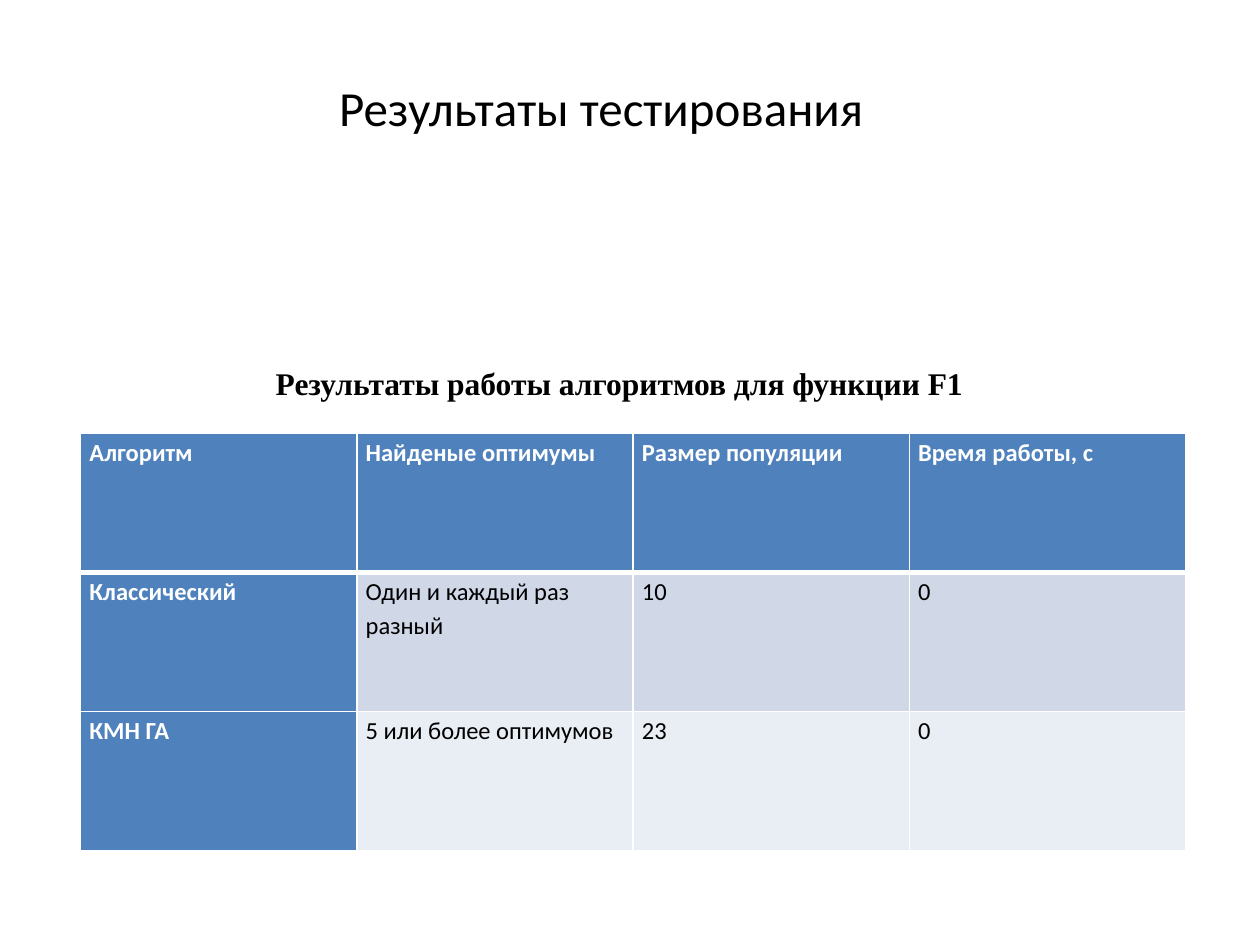
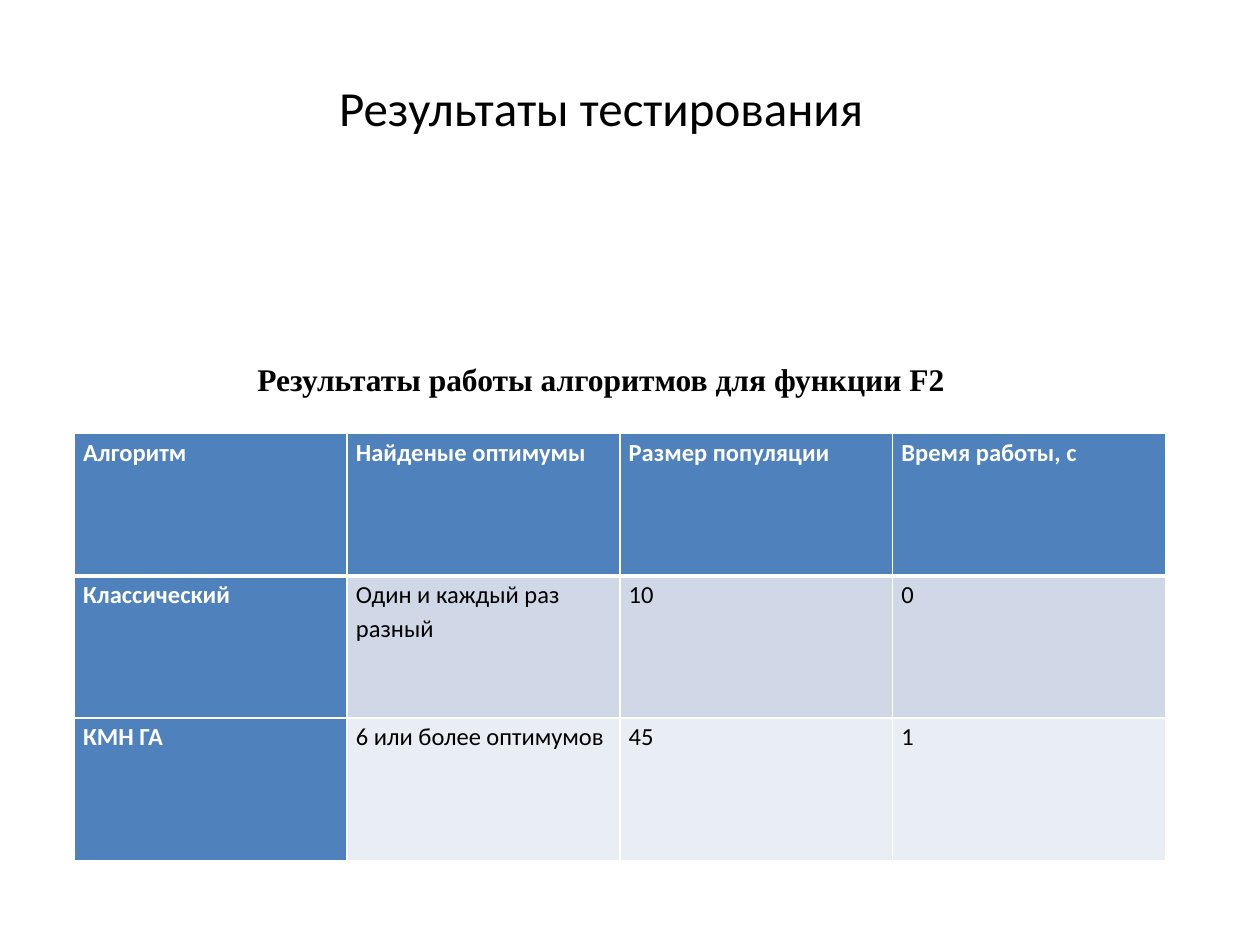
import pptx
import pptx.dml.color
import pptx.enum.text
import pptx.oxml.ns
import pptx.util
from lxml import etree
from pptx.util import Inches

COLORS = {
    "text": "000000",
    "white": "FFFFFF",
    "header": "4F81BD",
    "band_dark": "D0D8E8",
    "band_light": "E9EDF4",
}
BODY_FONT = "Calibri"
CAPTION_FONT = "Times New Roman"
HEADINGS = ["Алгоритм", "Найденые оптимумы", "Размер популяции", "Время работы, с"]
CLASSIC_ROW = ["Классический", "Один и каждый раз разный", "10", "0"]


def rgb(name):
    return pptx.dml.color.RGBColor.from_string(COLORS[name])


class Deck:
    """Holds the shared style and the current slide."""

    def __init__(self):
        self.prs = pptx.Presentation()
        self.prs.slide_width, self.prs.slide_height = Inches(10), Inches(7.5)
        self.slide = None

    def add_slide(self):
        self.slide = self.prs.slides.add_slide(self.prs.slide_layouts[6])
        self.text("Результаты тестирования", 0.91, 0.57, 7.72, 0.57, 28, BODY_FONT)

    def format_runs(self, p, size, font, color="text", bold=False):
        for r in p.runs:
            r.font.size = pptx.util.Pt(size)
            r.font.name = font
            r.font.bold = bold
            r.font.color.rgb = rgb(color)

    def text(self, text, left, top, width, height, size, font, bold=False, centered=True):
        sp = self.slide.shapes.add_textbox(
            Inches(left), Inches(top), Inches(width), Inches(height))
        tf = sp.text_frame
        tf.word_wrap = True
        tf.auto_size = pptx.enum.text.MSO_AUTO_SIZE.SHAPE_TO_FIT_TEXT
        tf.text = text
        p = tf.paragraphs[0]
        if centered:
            p.alignment = pptx.enum.text.PP_ALIGN.CENTER
        self.format_runs(p, size, font, bold=bold)

    def caption(self, text, left, top, width, centered=True):
        self.text(text, left, top, width, 0.4, 18, CAPTION_FONT, True, centered)

    def borders(self, cell, top=1, bottom=1):
        tc_pr = cell._tc.get_or_add_tcPr()
        for side, points in (("L", 1), ("R", 1), ("T", top), ("B", bottom)):
            ln = etree.SubElement(tc_pr, pptx.oxml.ns.qn(f"a:ln{side}"),
                                  w=str(pptx.util.Pt(points)))
            fill = etree.SubElement(ln, pptx.oxml.ns.qn("a:solidFill"))
            etree.SubElement(fill, pptx.oxml.ns.qn("a:srgbClr"), val=COLORS["white"])

    def cell(self, cell, text, row, col):
        strong = row == 0 or col == 0
        self.borders(cell, top=3 if row == 1 else 1, bottom=3 if row == 0 else 1)
        cell.fill.solid()
        band = "band_dark" if row % 2 else "band_light"
        cell.fill.fore_color.rgb = rgb("header" if strong else band)
        cell.margin_left = cell.margin_right = Inches(0.07)
        cell.margin_top = cell.margin_bottom = 0
        cell.text_frame.text = text
        p = cell.text_frame.paragraphs[0]
        p.line_spacing = 1.15
        p.space_after = pptx.util.Pt(10)
        self.format_runs(p, 14, BODY_FONT, "white" if strong else "text", strong)

    def table(self, rows, left, top, width, height):
        table = self.slide.shapes.add_table(
            len(rows), len(rows[0]), Inches(left), Inches(top),
            Inches(width), Inches(height)).table
        for i, row in enumerate(rows):
            for j, text in enumerate(row):
                self.cell(table.cell(i, j), text, i, j)


def main():
    deck = Deck()

    # Function F1
    deck.add_slide()
    deck.table([HEADINGS, CLASSIC_ROW, ["КМН ГА", "5 или более оптимумов", "23", "0"]],
               0.64, 3.44, 8.77, 3.31)
    deck.caption("Результаты работы алгоритмов для функции F1", 2.09, 2.84, 6.06,
                 centered=False)

    # Function F2
    deck.add_slide()
    deck.table([HEADINGS, CLASSIC_ROW, ["КМН ГА", "6 или более оптимумов", "45", "1"]],
               0.59, 3.44, 8.66, 3.39)
    deck.caption("Результаты работы алгоритмов для функции F2", 1.34, 2.81, 6.86)

    deck.prs.save("out.pptx")


if __name__ == "__main__":
    main()
